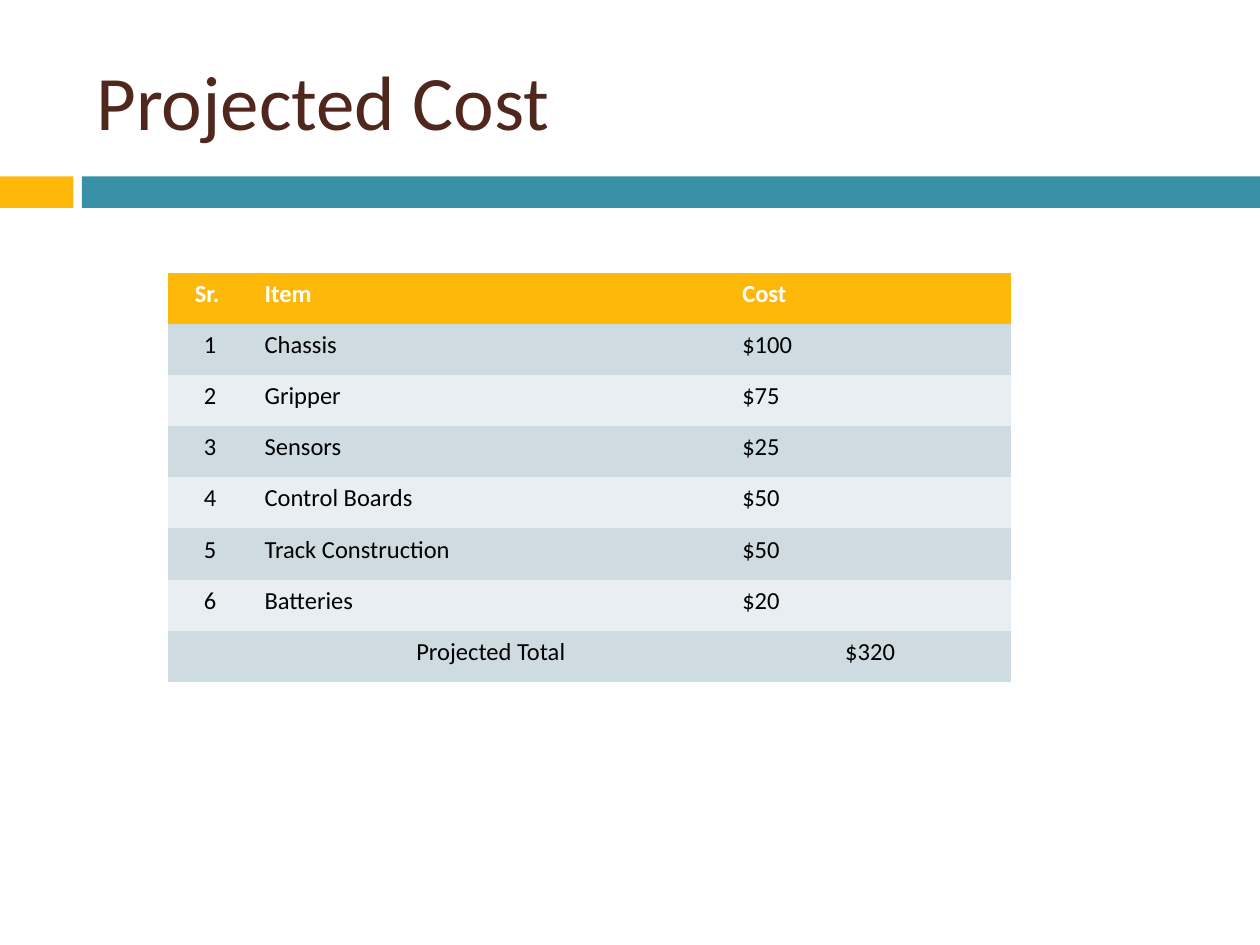
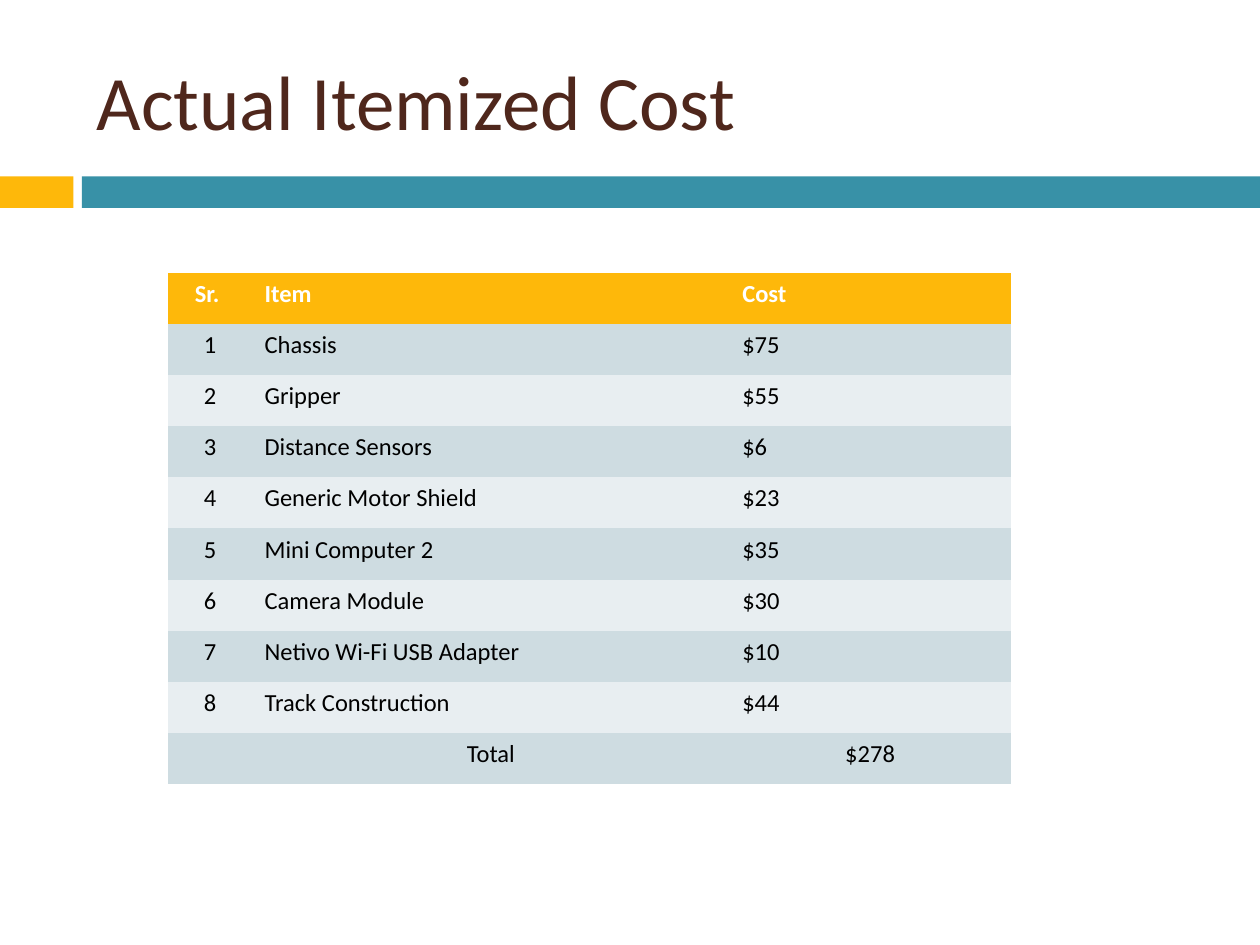
"""Build two slides that compare projected and actual project costs."""
import pptx
import pptx.dml.color
import pptx.enum.shapes
import pptx.enum.text
import pptx.util

ALIGN = pptx.enum.text.PP_ALIGN
YELLOW, TEAL, BROWN = "FEB80A", "3891A7", "4F271C"
WHITE, BLACK = "FFFFFF", "000000"
STRIPES = ["E8EEF1", "CEDCE1"]
NO_STYLE = "{2D5ABB26-0587-4C30-8999-92F81FD0307C}"


def rgb(value):
    """Turn a hex string into a colour."""
    return pptx.dml.color.RGBColor.from_string(value)


def write(tf, text, size=14, color=BLACK, bold=False, align=ALIGN.LEFT):
    """Put one formatted run in the first paragraph of a text frame."""
    p = tf.paragraphs[0]
    p.alignment = align
    r = p.add_run()
    r.text = text
    r.font.name = "Calibri"
    r.font.size = pptx.util.Pt(size)
    r.font.bold = bold
    r.font.color.rgb = rgb(color)


prs = pptx.Presentation()
prs.slide_width = pptx.util.Inches(10)
prs.slide_height = pptx.util.Inches(7.5)
unit = prs.slide_width / 120

bands = [(0, 7, YELLOW), (7.8, 112.2, TEAL)]
band_top, band_height = 16.8, 3
table_left, table_top, row_height = 16, 26, 4.87
col_widths = [8, 45.5, 26.75]

slides = [
    ("Projected Cost", "Projected Total", "$320", [
        ("Chassis", "$100"),
        ("Gripper", "$75"),
        ("Sensors", "$25"),
        ("Control Boards", "$50"),
        ("Track Construction", "$50"),
        ("Batteries", "$20"),
    ]),
    ("Actual Itemized Cost", "Total", "$278", [
        ("Chassis", "$75"),
        ("Gripper", "$55"),
        ("Distance Sensors", "$6"),
        ("Generic Motor Shield", "$23"),
        ("Mini Computer 2", "$35"),
        ("Camera Module", "$30"),
        ("Netivo Wi-Fi USB Adapter", "$10"),
        ("Track Construction", "$44"),
    ]),
]

for title, total_label, total, items in slides:
    s = prs.slides.add_slide(prs.slide_layouts[5])

    for left, width, color in bands:
        sp = s.shapes.add_shape(
            pptx.enum.shapes.MSO_SHAPE.RECTANGLE,
            *[round(n * unit) for n in (left, band_top, width, band_height)])
        sp.shadow.inherit = False
        sp.fill.solid()
        sp.fill.fore_color.rgb = rgb(color)
        sp.line.fill.background()

    sp = s.shapes.title
    sp.left, sp.top, sp.width, sp.height = [round(n * unit) for n in (8, 3, 107, 13)]
    sp.text_frame.vertical_anchor = pptx.enum.text.MSO_ANCHOR.MIDDLE
    write(sp.text_frame, title, size=44, color=BROWN)

    rows = [("Sr. ", "Item", "Cost")]
    rows += [(str(n), item, cost) for n, (item, cost) in enumerate(items, 1)]
    rows.append(("", total_label, total))

    frame = s.shapes.add_table(
        len(rows), len(col_widths),
        *[round(n * unit) for n in (table_left, table_top, sum(col_widths),
                                    row_height * len(rows))])
    table = frame.table
    table.horz_banding = False
    table._tbl.tblPr.find(pptx.oxml.ns.qn("a:tableStyleId")).text = NO_STYLE
    for column, width in zip(table.columns, col_widths):
        column.width = round(width * unit)

    for i, row in enumerate(rows):
        table.rows[i].height = round(row_height * unit)
        header, last = i == 0, i == len(rows) - 1
        for j, text in enumerate(row):
            cell = table.cell(i, j)
            cell.fill.solid()
            cell.fill.fore_color.rgb = rgb(YELLOW if header else STRIPES[i % 2])
            if text:
                write(cell.text_frame, text, bold=header,
                      color=WHITE if header else BLACK,
                      align=ALIGN.CENTER if j == 0 or last else ALIGN.LEFT)

prs.save("out.pptx")
